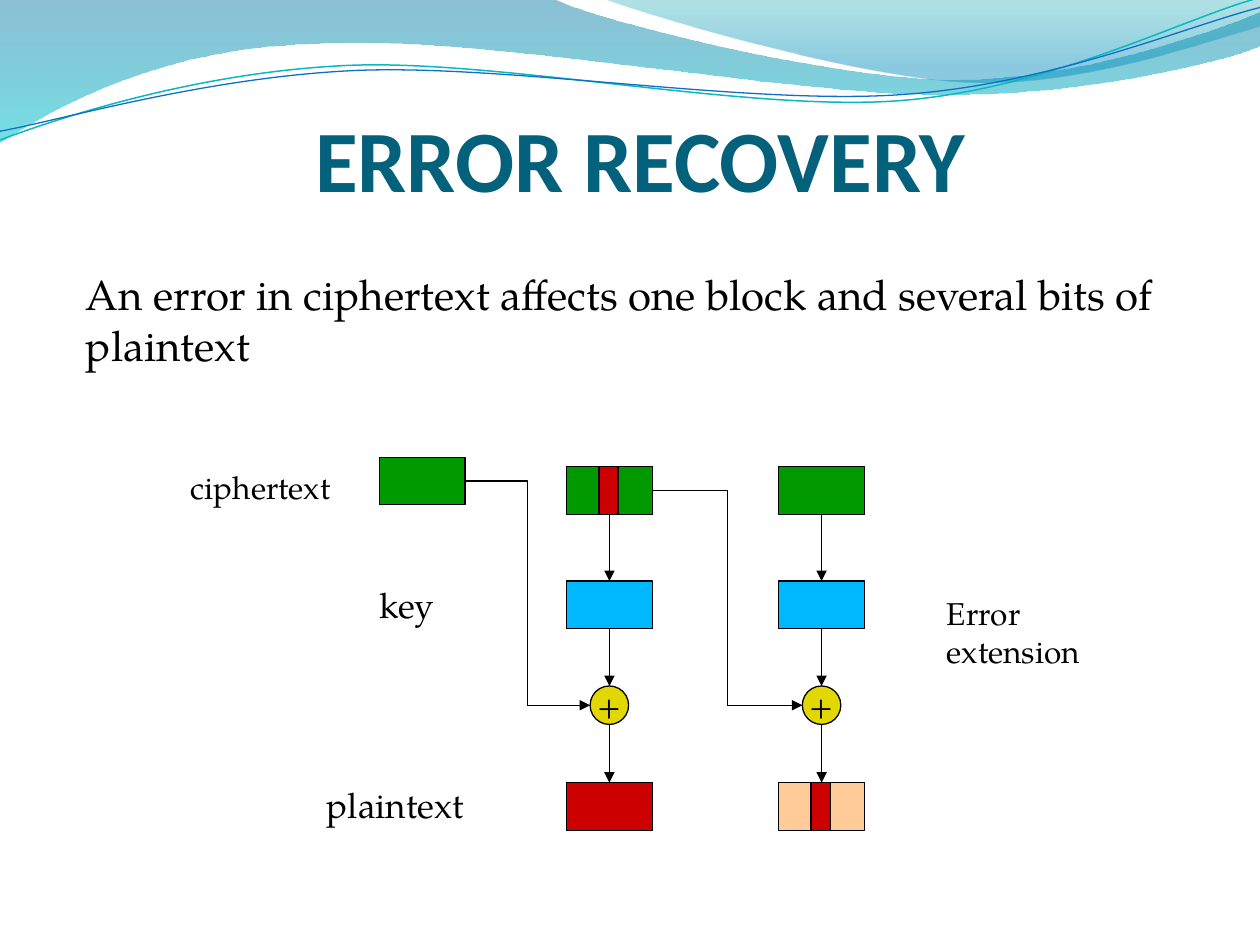
from lxml import etree
from pptx import Presentation
from pptx.dml.color import RGBColor
from pptx.enum.shapes import MSO_CONNECTOR, MSO_SHAPE
from pptx.enum.text import MSO_ANCHOR, MSO_AUTO_SIZE, PP_ALIGN
from pptx.oxml.ns import qn
from pptx.util import Pt

C = {"title": "04617B", "black": "000000", "cipher": "009900", "key": "00B8FF",
     "error": "CC0000", "plain": "FFCC99", "xor": "E2D700",
     "teal": "0AB8BF", "blue": "0F6FC6",
     "wave_top": "0074A1", "wave_end": "00C6CF",
     "crest_top": "00A1A9", "crest_end": "008BBF"}
BODY_FONT = "TeX Gyre Pagella"

# Paths in points: a pair is a line end, six numbers are a Bezier segment.
# Gradient stops: position, colour, opacity in percent.
WAVES = [
    ([(0, 0), (317, -0.5), (343, 12, 478, 45.4, 546, 45.4),
      (614, 45.4, 690, 18.7, 720, 6.5), (720, 26),
      (708, 31.7, 626, 54.7, 537, 54), (448, 54, 275, 20, 185, 24.5),
      (93, 26, 33, 60, -0.5, 81.4)],
     [(0, "wave_top", 45), (1, "wave_end", 55)]),
    ([(345, -0.5), (366, 8, 491, 44.6, 553.7, 46.8),
      (616, 49.7, 692, 23, 720, 15), (720, 0)],
     [(0, "crest_top", 30), (0.8, "crest_end", 45)]),
]
RIBBONS = [
    ([(0, 80), (34.6, 67, 113.8, 41, 199.4, 37.4),
      (284.4, 33.8, 427, 64, 513.4, 57.6), (599.8, 51, 675.4, 10.8, 718.6, -1)],
     "teal", 0.85),
    ([(0, 75), (33.8, 69, 118, 44, 203.8, 40.3),
      (290, 36.7, 429.8, 60.5, 516.2, 54), (602, 48, 677.5, 15, 720, 4.3)],
     "blue", 0.75),
]
# text, left, top, width, height, size, wrap
LABELS = [
    ("An error in ciphertext affects one block and several bits of plaintext",
     42, 150, 648, 65.5, 24, True),
    ("ciphertext", 102, 264, 94.5, 29, 18, False),
    ("key", 209.75, 330, 47, 31, 20, False),
    ("plaintext", 179.75, 444, 100, 31, 20, False),
    ("Error extension", 534, 336, 134.5, 29, 18, True),
]
# centre x, plaintext colour, row that holds the error strip
COLUMNS = [(348.25, "error", "cipher"), (469.5, "plain", "plain")]
ROW_TOP = {"cipher": 266.75, "key": 332, "xor": 392, "plain": 447.25}
BLOCK_W, BLOCK_H, XOR_D, STRIP_W = 49, 27.25, 22, 11
FIRST_BLOCK = (241.25, 261.25)  # centre x, top


def rgb(name):
    return RGBColor.from_string(C[name])


def add_path(path, close):
    """Build an outline through the segment ends, then bend its Bezier segments."""
    ends = [(Pt(seg[-2]), Pt(seg[-1])) for seg in path]
    builder = shapes.build_freeform(*ends[0], scale=1.0)
    builder.add_line_segments(ends[1:], close=close)
    sp = builder.convert_to_shape()
    sp.shadow.inherit = False
    for line_to, seg in zip(list(sp._element.iter(qn("a:lnTo"))), path[1:]):
        if len(seg) == 6:
            line_to.tag = qn("a:cubicBezTo")
            line_to.clear()
            for x, y in zip(seg[::2], seg[1::2]):
                etree.SubElement(line_to, qn("a:pt"),
                                 x=str(Pt(x) - sp.left), y=str(Pt(y) - sp.top))
    return sp


def add_wave(path, stops):
    sp = add_path(path, True)
    sp.line.fill.background()
    sp.fill.gradient()
    sp.fill.gradient_angle = 270
    for stop, (position, color, _) in zip(sp.fill.gradient_stops, stops):
        stop.position = position
        stop.color.rgb = rgb(color)
    for clr, (_, _, opacity) in zip(sp._element.iter(qn("a:srgbClr")), stops):
        etree.SubElement(clr, qn("a:alpha"), val=str(opacity * 1000))


def add_ribbon(path, color, width):
    sp = add_path(path, False)
    sp.fill.background()
    sp.line.color.rgb = rgb(color)
    sp.line.width = Pt(width)


def add_block(cx, top, color, w=BLOCK_W, h=BLOCK_H, kind=MSO_SHAPE.RECTANGLE):
    sp = shapes.add_shape(kind, Pt(cx - w / 2), Pt(top), Pt(w), Pt(h))
    sp.shadow.inherit = False
    sp.fill.solid()
    sp.fill.fore_color.rgb = rgb(color)
    sp.line.color.rgb = rgb("black")
    sp.line.width = Pt(0.75)
    return sp


def style_text(tf, size, font=BODY_FONT, color="black", bold=False):
    f = tf.paragraphs[0].runs[0].font
    f.name, f.size, f.bold = font, Pt(size), bold
    f.color.rgb = rgb(color)


def add_arrow(x1, y1, x2, y2, kind=MSO_CONNECTOR.STRAIGHT):
    line = shapes.add_connector(kind, Pt(x1), Pt(y1), Pt(x2), Pt(y2))
    line.line.color.rgb = rgb("black")
    line.line.width = Pt(0.75)
    etree.SubElement(line.line._get_or_add_ln(), qn("a:tailEnd"), type="triangle")
    etree.SubElement(line._element.spPr, qn("a:effectLst"))
    return line


def add_column(cx, plain_color, error_row):
    cipher = add_block(cx, ROW_TOP["cipher"], "cipher")
    key = add_block(cx, ROW_TOP["key"], "key")
    xor = add_block(cx, ROW_TOP["xor"], "xor", XOR_D, XOR_D, MSO_SHAPE.OVAL)
    plain = add_block(cx, ROW_TOP["plain"], plain_color)
    tf = xor.text_frame
    tf.text = "+"
    tf.word_wrap = False
    tf.vertical_anchor = MSO_ANCHOR.MIDDLE
    tf.paragraphs[0].alignment = PP_ALIGN.CENTER
    style_text(tf, 18)

    chain = [cipher, key, xor, plain]
    for upper, lower in zip(chain, chain[1:]):
        arrow = add_arrow(cx, upper.top.pt + upper.height.pt, cx, lower.top.pt)
        if upper is not xor:
            arrow.begin_connect(upper, 2)
        if lower is not xor:
            arrow.end_connect(lower, 0)
    add_block(cx - 0.5, ROW_TOP[error_row], "error", w=STRIP_W)


prs = Presentation()
prs.slide_width, prs.slide_height = Pt(720), Pt(540)
slide = prs.slides.add_slide(prs.slide_layouts[5])
shapes = slide.shapes

for wave in WAVES:
    add_wave(*wave)
for ribbon in RIBBONS:
    add_ribbon(*ribbon)

title = shapes.title
title.left, title.top, title.width, title.height = Pt(150), Pt(60), Pt(432), Pt(60)
tf = title.text_frame
tf.text = "ERROR RECOVERY"
tf.auto_size = MSO_AUTO_SIZE.NONE
tf.vertical_anchor = MSO_ANCHOR.BOTTOM
tf.margin_left = tf.margin_right = tf.margin_bottom = 0
tf.paragraphs[0].alignment = PP_ALIGN.CENTER
style_text(tf, 50, "Calibri", "title", True)

for text, left, top, width, height, size, wrap in LABELS:
    tf = shapes.add_textbox(Pt(left), Pt(top), Pt(width), Pt(height)).text_frame
    tf.text = text
    tf.word_wrap = wrap
    style_text(tf, size)

add_block(*FIRST_BLOCK, "cipher")
for column in COLUMNS:
    add_column(*column)

sources = [FIRST_BLOCK, (COLUMNS[0][0], ROW_TOP["cipher"])]
for (source_x, source_top), (cx, _, _) in zip(sources, COLUMNS):
    add_arrow(source_x + BLOCK_W / 2, source_top + BLOCK_H / 2,
              cx - XOR_D / 2, ROW_TOP["xor"] + XOR_D / 2, MSO_CONNECTOR.ELBOW)

prs.save("out.pptx")
